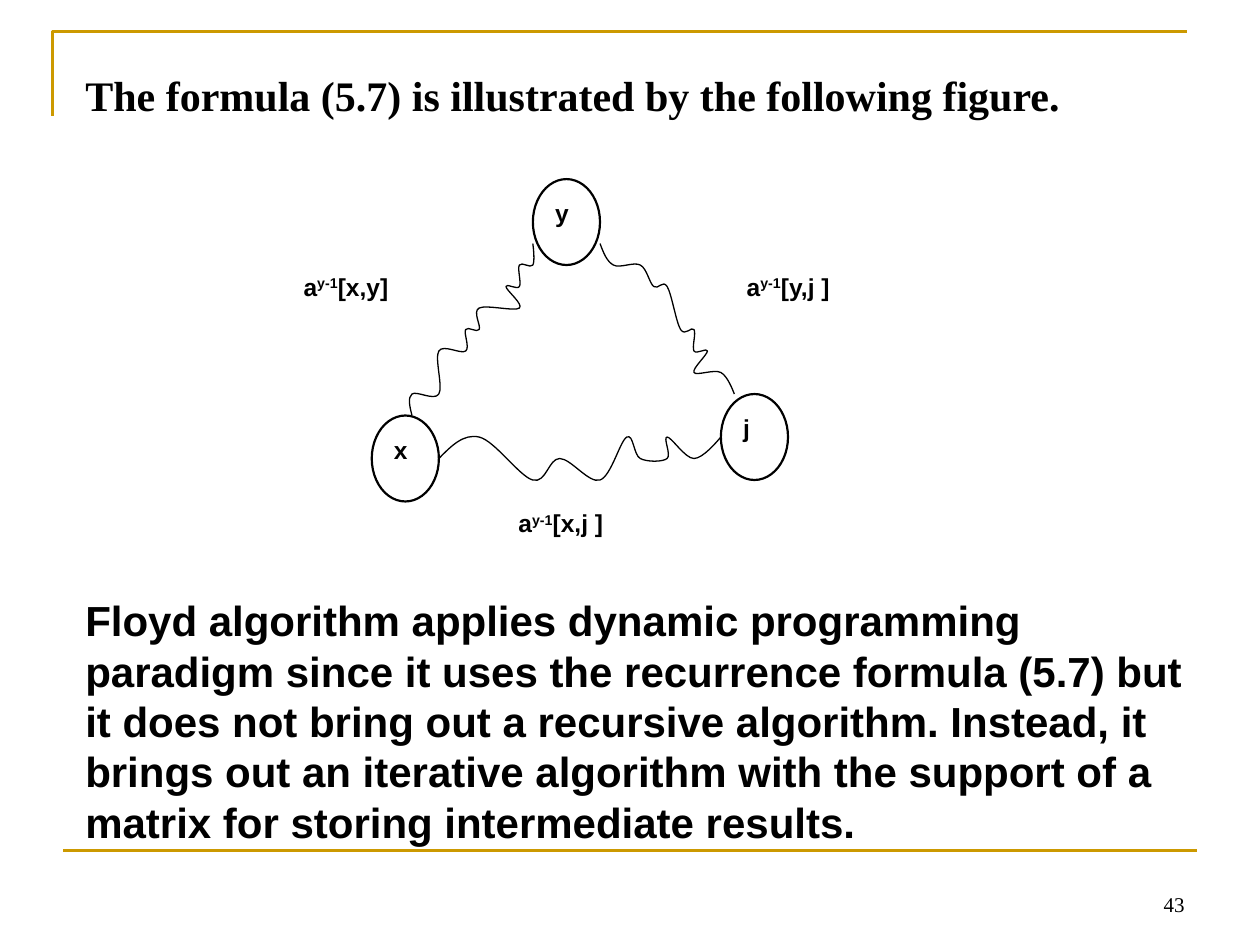
from lxml import etree
from pptx import Presentation
from pptx.dml.color import RGBColor
from pptx.enum.shapes import MSO_CONNECTOR, MSO_SHAPE
from pptx.enum.text import MSO_ANCHOR, MSO_AUTO_SIZE, PP_ALIGN
from pptx.oxml.ns import qn
from pptx.util import Cm, Pt

OVAL, RECTANGLE = MSO_SHAPE.OVAL, MSO_SHAPE.RECTANGLE
STRAIGHT = MSO_CONNECTOR.STRAIGHT
TOP, BOTTOM = MSO_ANCHOR.TOP, MSO_ANCHOR.BOTTOM
LEFT, RIGHT = PP_ALIGN.LEFT, PP_ALIGN.RIGHT
NO_AUTOFIT = MSO_AUTO_SIZE.NONE

BLACK, WHITE, GOLD = "000000", "FFFFFF", "CC9900"
SERIF, SANS = "Times New Roman", "Arial"

# The figure lies on a grid of 44 columns and 18 rows (centimetres)
FIGURE_LEFT, FIGURE_TOP = 5.87, 3.61
COLUMN, ROW = 11.91 / 44, 7.8 / 18

# Grid column and row, followed by columns and rows spanned for labels
NODES = {"y": (18, 0), "x": (6, 11), "j": (32, 10)}
LABELS = {
    "[x,y]": (0, 4, 11, 4),
    "[y,j ]": (33, 4, 11, 4),
    "[x,j ]": (16, 15, 11, 3),
}
PATHS = [
    # x to j
    [(11, 13), (14, 12), (18, 14), (20, 13), (23, 14), (25, 12),
     (26, 13), (28, 13), (28, 12), (30, 13), (32, 12)],
    # x to y
    [(9, 11), (9, 10), (11, 10), (11, 8), (13, 8), (13, 7), (14, 7),
     (14, 6), (17, 6), (16, 5), (17, 5), (17, 4), (18, 4), (18, 3)],
    # y to j
    [(23, 3), (24, 4), (26, 4), (27, 5), (28, 5), (29, 7),
     (30, 7), (30, 8), (31, 8), (30, 9), (32, 9), (33, 10)],
]

TITLE = "The formula (5.7) is illustrated by the following figure."
BODY = (
    "Floyd algorithm applies dynamic programming paradigm since it uses the "
    "recurrence formula (5.7) but it does not bring out a recursive algorithm. "
    "Instead, it brings out an iterative algorithm with the support of a matrix "
    "for storing intermediate results."
)


def color(value):
    return RGBColor.from_string(value)


def grid_point(column, row):
    return Cm(FIGURE_LEFT + column * COLUMN), Cm(FIGURE_TOP + row * ROW)


def set_line(shape, value, width):
    shape.line.color.rgb = color(value)
    shape.line.width = Pt(width)


def write_text(shape, runs, size, font, bold=True, align=LEFT, anchor=TOP):
    """Write (text, baseline percentage) runs as one paragraph."""
    frame = shape.text_frame
    frame_format = {
        "word_wrap": True, "auto_size": NO_AUTOFIT, "vertical_anchor": anchor,
        "margin_left": Cm(0.25), "margin_right": Cm(0.25),
        "margin_top": Cm(0.13), "margin_bottom": Cm(0.13),
    }
    for name, value in frame_format.items():
        setattr(frame, name, value)
    paragraph = frame.paragraphs[0]
    paragraph.alignment = align
    for text, baseline in runs:
        run = paragraph.add_run()
        run.text = text
        for name, value in {"size": Pt(size), "name": font, "bold": bold}.items():
            setattr(run.font, name, value)
        run.font.color.rgb = color(BLACK)
        if baseline:
            run._r.get_or_add_rPr().set("baseline", str(baseline * 1000))


def add_text(slide, box, text, *text_format):
    shape = slide.shapes.add_textbox(*map(Cm, box))
    write_text(shape, [(text, 0)], *text_format)


def add_title(slide, box, text):
    title = slide.shapes.title
    title.left, title.top, title.width, title.height = map(Cm, box)
    write_text(title, [(text, 0)], 24, SERIF)


def add_figure_shape(group, kind, cell, runs):
    column, row, columns, rows = cell
    shape = group.shapes.add_shape(
        kind, *grid_point(column, row), Cm(columns * COLUMN), Cm(rows * ROW))
    shape.shadow.inherit = False
    shape.fill.solid()
    shape.fill.fore_color.rgb = color(WHITE)
    write_text(shape, runs, 14, SANS)
    return shape


def add_outline(shapes, points, value, width):
    builder = shapes.build_freeform(*points[0], scale=1.0)
    builder.add_line_segments(points[1:], close=False)
    shape = builder.convert_to_shape()
    shape.shadow.inherit = False
    shape.fill.background()
    set_line(shape, value, width)
    return shape


def between(start, end, share):
    return tuple(a + (b - a) * share for a, b in zip(start, end))


def smooth(shape):
    """Turn the straight segments of a freeform into curves through its points."""
    knots = [(int(point.get("x")), int(point.get("y")))
             for point in shape._element.iter(qn("a:pt"))]
    # A sixth of the span between a point's neighbours is its tangent
    tangents = [tuple((b - a) / 6 for a, b in zip(before, after))
                for before, after in zip(knots, knots[2:])]
    leaving = [tuple(k + t for k, t in zip(*pair))
               for pair in zip(knots[1:-1], tangents)]
    arriving = [tuple(k - t for k, t in zip(*pair))
                for pair in zip(knots[1:-1], tangents)]
    leaving.insert(0, between(knots[0], arriving[0], 0.5))
    arriving.append(between(leaving[-1], knots[-1], 0.8))

    segments = list(shape._element.iter(qn("a:lnTo")))
    for segment, *points in zip(segments, leaving, arriving, knots[1:]):
        curve = etree.Element(qn("a:cubicBezTo"))
        for x, y in points:
            etree.SubElement(curve, qn("a:pt"), x=str(round(x)), y=str(round(y)))
        segment.getparent().replace(segment, curve)


def add_frame(slide):
    corner = [(Cm(x), Cm(y)) for x, y in ((1.06, 2.33), (1.06, 0.64), (23.92, 0.64))]
    add_outline(slide.shapes, corner, GOLD, 1.5)
    rule = slide.shapes.add_connector(
        STRAIGHT, Cm(1.27), Cm(17.15), Cm(24.13), Cm(17.15))
    set_line(rule, GOLD, 1.5)
    etree.SubElement(rule._element.spPr, qn("a:effectLst"))


def add_figure(slide):
    group = slide.shapes.add_group_shape()
    for name, position in NODES.items():
        node = add_figure_shape(group, OVAL, (*position, 5, 4), [(name, 0)])
        set_line(node, BLACK, 1.25)
    for pair, cell in LABELS.items():
        runs = [("a", 0), ("y-1", 30), (pair, 0)]
        label = add_figure_shape(group, RECTANGLE, cell, runs)
        label.line.fill.background()
    for path_cells in PATHS:
        points = [grid_point(*cell) for cell in path_cells]
        smooth(add_outline(group.shapes, points, BLACK, 0.75))


def main():
    presentation = Presentation()
    presentation.slide_width, presentation.slide_height = Cm(25.4), Cm(19.05)
    slide = presentation.slides.add_slide(presentation.slide_layouts[5])

    # Frame lines and page number
    add_frame(slide)
    add_text(slide, (18.21, 17.35, 5.92, 1.27), "43", 12, SERIF, False, RIGHT, BOTTOM)

    # Figure between title and explanation
    add_figure(slide)
    add_title(slide, (1.47, 1.27, 22.66, 1.27), TITLE)
    add_text(slide, (1.47, 11.86, 22.86, 5.33), BODY, 24, SANS)

    presentation.save("out.pptx")


if __name__ == "__main__":
    main()
